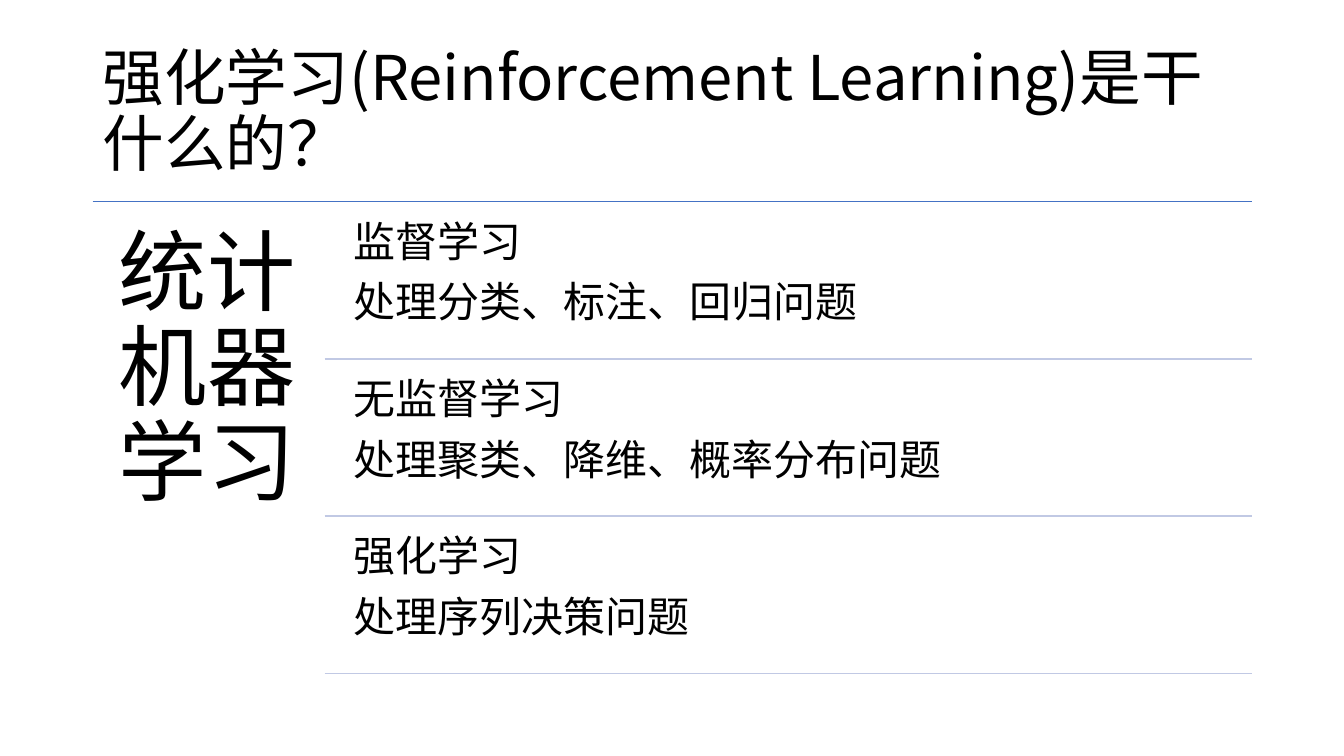
from lxml.etree import SubElement
from pptx import Presentation
from pptx.dml.color import RGBColor as Rgb
from pptx.enum.shapes import MSO_CONNECTOR as Connector
from pptx.enum.text import MSO_ANCHOR as Anchor
from pptx.oxml.ns import qn
from pptx.util import Inches, Pt

THEME = {
    "font": "Noto Sans CJK SC",
    "ink": Rgb.from_string("000000"),
    "accent": Rgb.from_string("4472C4"),
    "divider": Rgb.from_string("C1C9E4"),
    "title": Pt(44),
    "field": Pt(63),
    "branch": Pt(30),
    "gap": Pt(11),
    "rule": Pt(1),
}

deck = Presentation()
deck.slide_width, deck.slide_height = Inches(13.33), Inches(7.5)
slide = deck.slides.add_slide(deck.slide_layouts[6])

# Content grid: one field column, then a branch column with equal rows
left, width = Inches(0.92), Inches(11.5)
right = left + width
field_width = width // 5
branch_left = left + field_width
indent = Inches(0.17)
top, row_height, row_gap = Inches(2), Inches(1.49), Inches(0.07)
row_pitch = row_height + row_gap


def add_text(lines, box, size, gap=0, **frame_format):
    """Write one paragraph per line in a wrapped text box."""
    frame = slide.shapes.add_textbox(*box).text_frame
    for key, value in {"word_wrap": True, **frame_format}.items():
        setattr(frame, key, value)
    frame.text = "\n".join(lines)
    for paragraph in frame.paragraphs:
        paragraph.line_spacing = 0.9
        paragraph.space_after = gap
        font = paragraph.runs[0].font
        for key, value in {"size": size, "name": THEME["font"]}.items():
            setattr(font, key, value)
        font.color.rgb = THEME["ink"]
        east_asian = SubElement(paragraph.runs[0]._r.rPr, qn("a:ea"))
        east_asian.set("typeface", THEME["font"])


def add_rule(start, height, color):
    """Draw a flat horizontal rule from start to the right margin."""
    rule = slide.shapes.add_connector(Connector.STRAIGHT, start, height, right, height)
    rule.line.color.rgb = color
    rule.line.width = THEME["rule"]
    SubElement(rule._element.spPr, qn("a:effectLst"))


def_margins = ("margin_left", "margin_top", "margin_right", "margin_bottom")
field_margins = dict.fromkeys(def_margins, Inches(0.26))
branch_margins = dict.fromkeys(def_margins, Inches(0.12))

add_text(["强化学习(Reinforcement Learning)是干什么的？"],
         (left, Inches(0.4), width, Inches(1.45)), THEME["title"],
         vertical_anchor=Anchor.MIDDLE)

add_rule(left, top, THEME["accent"])
add_text(["统计机器学习"], (left, top, field_width, 3 * row_pitch + row_gap),
         THEME["field"], **field_margins)

branches = [
    ("监督学习", "处理分类、标注、回归问题"),
    ("无监督学习", "处理聚类、降维、概率分布问题"),
    ("强化学习", "处理序列决策问题"),
]
for row, branch in enumerate(branches):
    row_top = top + row * row_pitch
    add_text(branch,
             (branch_left + indent, row_top + row_gap,
              right - branch_left - indent, row_height),
             THEME["branch"], THEME["gap"], **branch_margins)
    add_rule(branch_left, row_top + row_pitch, THEME["divider"])

deck.save("out.pptx")
